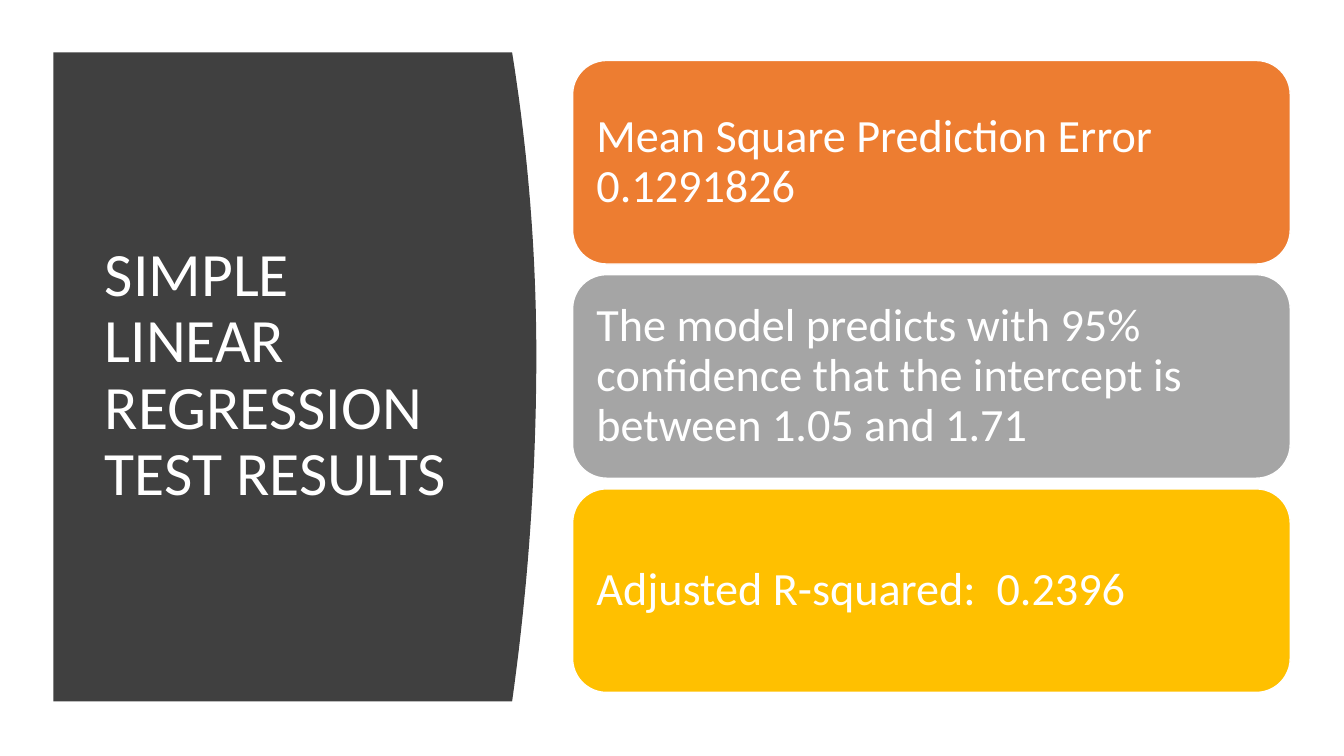
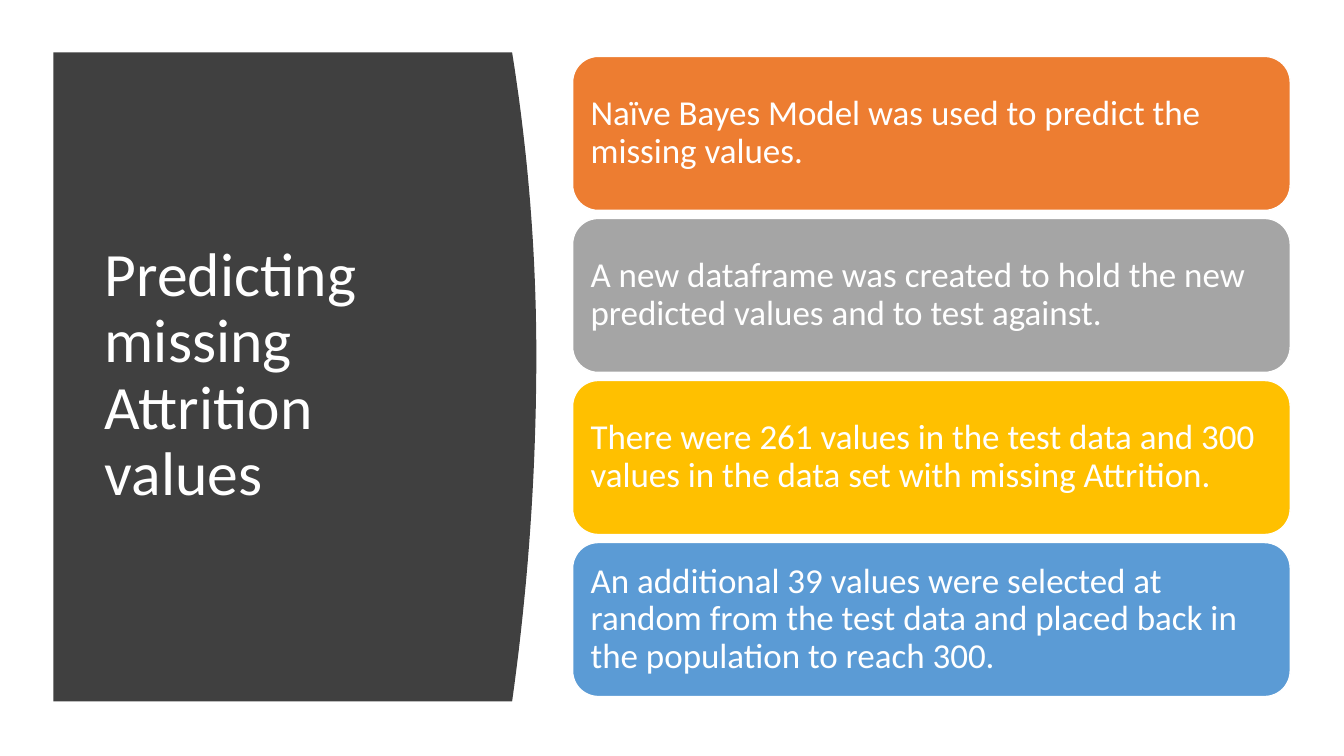
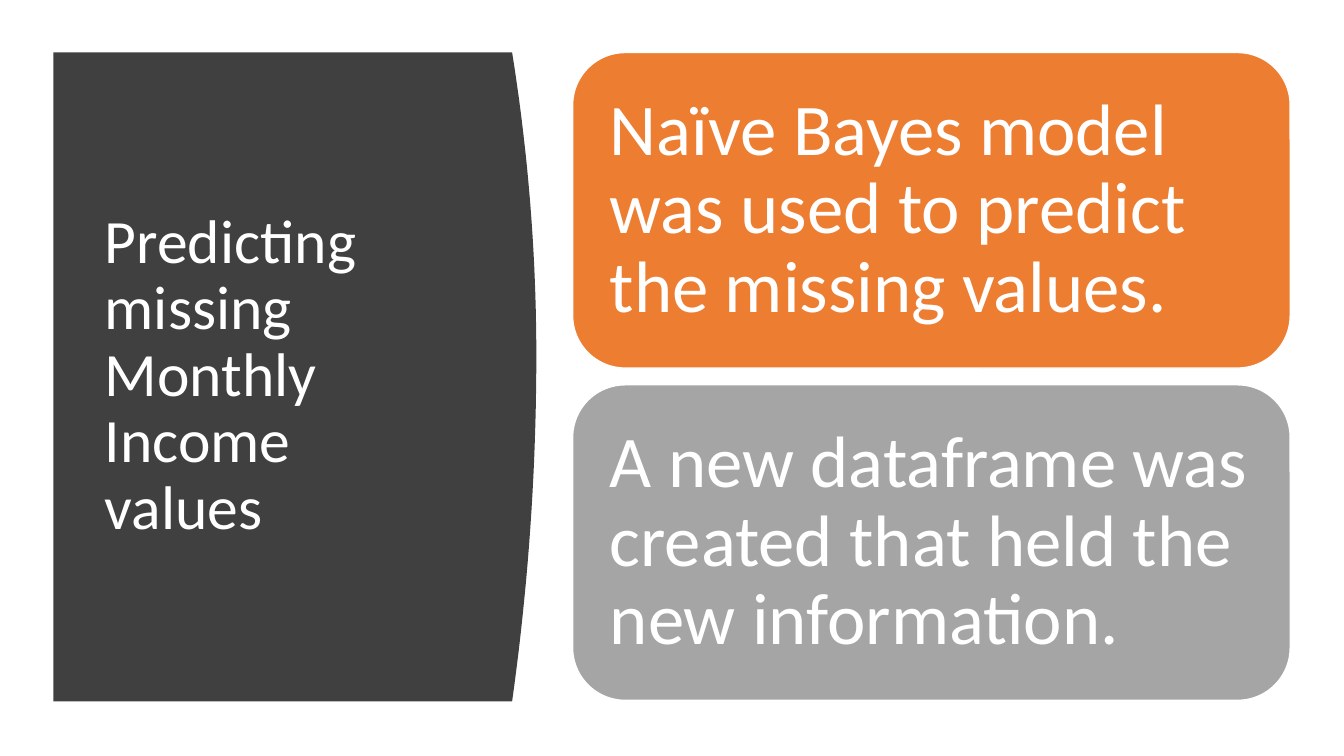
import pptx
import pptx.dml.color
import pptx.enum.shapes
import pptx.enum.text
import pptx.util
from dataclasses import dataclass

Pt = pptx.util.Pt


@dataclass(frozen=True)
class Theme:
    font: str = "Calibri"
    title_size: int = 44
    line_spacing: float = 0.9
    white: str = "FFFFFF"
    panel: str = "404040"
    cards: tuple = ("ED7D31", "A5A5A5", "FFC000", "5B9BD5")


class Deck:
    """Holds the presentation, its style and the current slide."""

    def __init__(self, theme):
        self.theme = theme
        self.presentation = pptx.Presentation()
        self.presentation.slide_width = Pt(960)
        self.presentation.slide_height = Pt(540)
        self.slide = None

    def color(self, value):
        return pptx.dml.color.RGBColor.from_string(value)

    def fill(self, shape, value):
        shape.shadow.inherit = False
        shape.fill.solid()
        shape.fill.fore_color.rgb = self.color(value)

    def set_text(self, frame, text, size):
        frame.word_wrap = True
        frame.auto_size = pptx.enum.text.MSO_AUTO_SIZE.NONE
        frame.vertical_anchor = pptx.enum.text.MSO_ANCHOR.MIDDLE
        frame.text = text
        paragraph = frame.paragraphs[0]
        paragraph.alignment = pptx.enum.text.PP_ALIGN.LEFT
        paragraph.line_spacing = self.theme.line_spacing
        paragraph.font.name = self.theme.font
        paragraph.font.size = Pt(size)
        paragraph.font.color.rgb = self.color(self.theme.white)

    def add_slide(self, title):
        layout = self.presentation.slide_layouts.get_by_name("Title Only")
        self.slide = self.presentation.slides.add_slide(layout)
        self.add_title(title)
        self.add_panel()

    def add_title(self, text):
        title = self.slide.shapes.title
        title.left, title.top = Pt(67.7), Pt(80)
        title.width, title.height = Pt(269.3), Pt(377.3)
        self.set_text(title.text_frame, text, self.theme.title_size)

    def add_panel(self):
        """Dark panel whose right side is two parabola halves meeting at the peak."""
        left, edge, bulge = 38.2, 365.8, 17.3
        top, peak, bottom = 37.4, 254, 501.1
        steps = 20
        curve = []
        for step in range(-steps, steps + 1):
            t = step / steps
            reach = peak - top if t < 0 else bottom - peak
            curve.append((Pt(edge + bulge * (1 - t * t)), Pt(peak + t * reach)))
        outline = self.slide.shapes.build_freeform(Pt(left), Pt(top))
        outline.add_line_segments(curve + [(Pt(left), Pt(bottom))], close=True)
        panel = outline.convert_to_shape()
        self.fill(panel, self.theme.panel)
        panel.line.fill.background()
        # The panel sits behind the title
        self.slide.shapes.title.element.addprevious(panel.element)

    def add_card(self, text, top, height, size, color):
        card = self.slide.shapes.add_shape(
            pptx.enum.shapes.MSO_SHAPE.ROUNDED_RECTANGLE,
            Pt(409), Pt(top), Pt(512.6), Pt(height))
        self.fill(card, color)
        card.line.color.rgb = self.color(self.theme.white)
        card.line.width = Pt(1)
        frame = card.text_frame
        frame.margin_left = frame.margin_right = Pt(0.3 * size)
        frame.margin_top = frame.margin_bottom = Pt(0.3 * size)
        self.set_text(frame, text, size)

    def add_cards(self, findings, height, size):
        """Stack of cards, centred on one line, with gaps that follow the type size."""
        middle, gap = 268.9, 0.23 * size
        pitch = height + gap
        top = middle - (len(findings) * pitch - gap) / 2
        for index, (finding, color) in enumerate(zip(findings, self.theme.cards)):
            self.add_card(finding, top + index * pitch, height, size, color)


def main():
    deck = Deck(Theme())

    # Regression results
    deck.add_slide("SIMPLE LINEAR REGRESSION TEST RESULTS")
    deck.add_cards([
        "Mean Square Prediction Error 0.1291826",
        "The model predicts with 95% confidence that the intercept is between 1.05 and 1.71",
        "Adjusted R-squared:  0.2396",
    ], height=145.4, size=33)

    # Missing attrition
    deck.add_slide("Predicting missing Attrition values")
    deck.add_cards([
        "Naïve Bayes Model was used to predict the missing values.",
        "A new dataframe was created to hold the new predicted values and to test against.",
        "There were 261 values in the test data and 300 values in the data set "
        "with missing Attrition.",
        "An additional 39 values were selected at random from the test data "
        "and placed back in the population to reach 300.",
    ], height=110, size=25)

    # Missing monthly income
    deck.add_slide("Predicting missing Monthly Income values")
    deck.add_cards([
        "Naïve Bayes model was used to predict the missing values.",
        "A new dataframe was created that held the new information.",
    ], height=225.4, size=52)

    deck.presentation.save("out.pptx")


if __name__ == "__main__":
    main()
